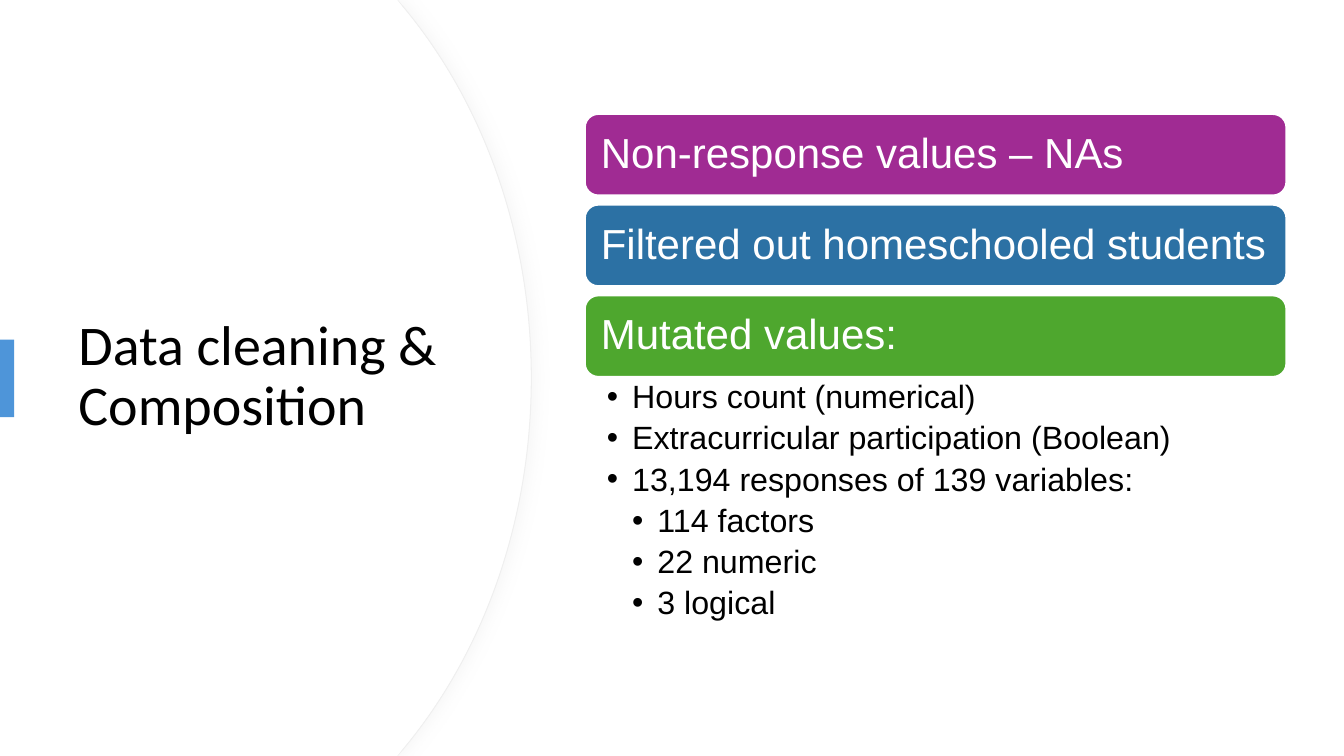
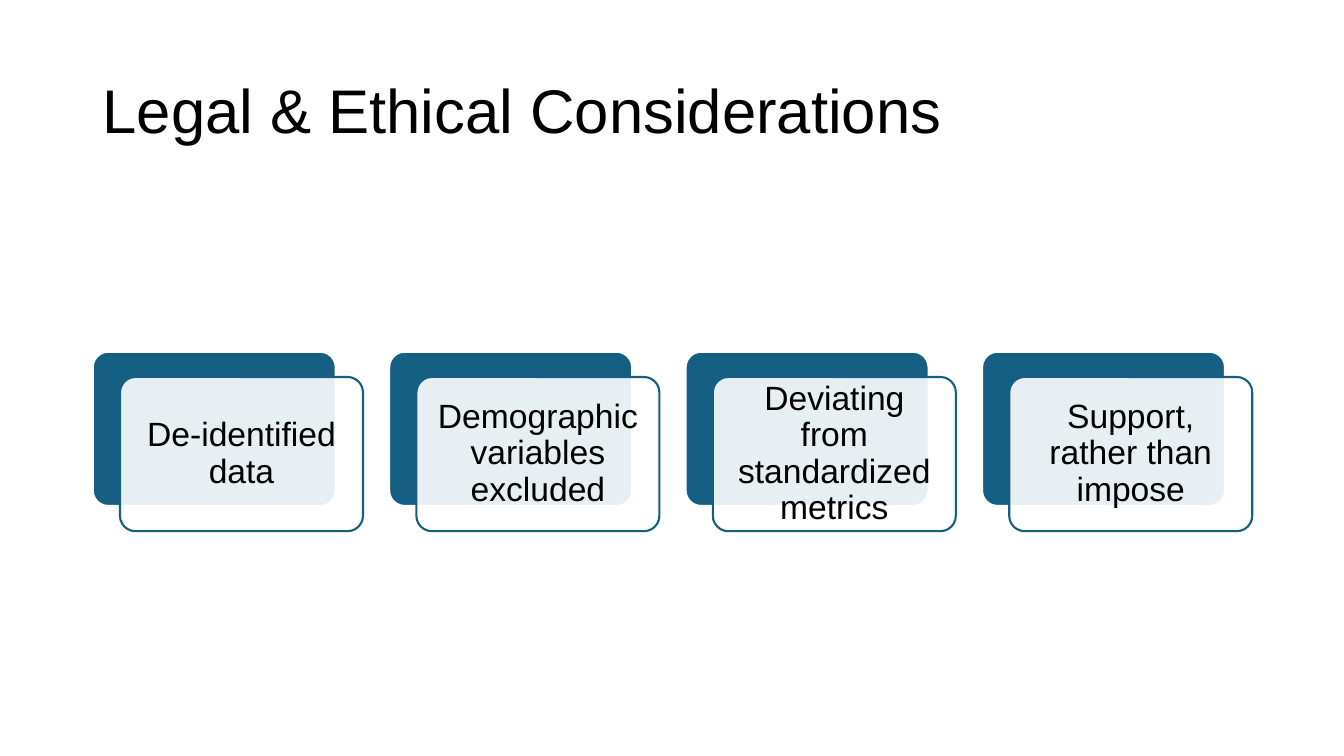
"""Build two slides on data cleaning and on legal and ethical considerations."""
from lxml import etree
from pptx import Presentation
from pptx.dml.color import RGBColor
from pptx.enum import shapes, text
from pptx.oxml import ns
from pptx.util import Inches, Pt

BLACK = RGBColor(0x00, 0x00, 0x00)
WHITE = RGBColor(0xFF, 0xFF, 0xFF)
PANEL_EDGE = RGBColor(0xEF, 0xEF, 0xEF)
PANEL_SHADOW = RGBColor(0xD9, 0xD9, 0xD9)
ACCENT = RGBColor(0x4E, 0x95, 0xD9)
PURPLE = RGBColor(0xA0, 0x2B, 0x93)
BLUE = RGBColor(0x2C, 0x71, 0xA4)
GREEN = RGBColor(0x4E, 0xA7, 0x2E)
TEAL = RGBColor(0x15, 0x60, 0x82)

BODY_FONT = "Arial"
LINE_SPACING = 0.9
SLIDE_HEIGHT = 7.5

STEPS = [
    ("Non-response values – NAs", PURPLE),
    ("Filtered out homeschooled students", BLUE),
    ("Mutated values:", GREEN),
]
DETAILS = [
    (1, "Hours count (numerical)"),
    (1, "Extracurricular participation (Boolean)"),
    (1, "13,194 responses of 139 variables:"),
    (2, "114 factors"),
    (2, "22 numeric"),
    (2, "3 logical"),
]
CONSIDERATIONS = [
    "De-identified data",
    "Demographic variables excluded",
    "Deviating from standardized metrics",
    "Support, rather than impose",
]


def add_element(parent, tag, **attributes):
    return etree.SubElement(parent, ns.qn(tag), attributes)


def style_paragraph(paragraph, size, color=BLACK, font=BODY_FONT):
    paragraph.line_spacing = LINE_SPACING
    paragraph.font.size = Pt(size)
    for run in paragraph.runs:
        run.font.name = font
        run.font.size = Pt(size)
        run.font.color.rgb = color


def set_insets(frame, left, top, right, bottom):
    frame.margin_left, frame.margin_top = Inches(left), Inches(top)
    frame.margin_right, frame.margin_bottom = Inches(right), Inches(bottom)


def add_title(slide, wording, box, size, font=BODY_FONT):
    title = slide.shapes.add_textbox(*map(Inches, box))
    frame = title.text_frame
    frame.word_wrap = True
    frame.vertical_anchor = text.MSO_ANCHOR.MIDDLE
    frame.text = wording
    style_paragraph(frame.paragraphs[0], size, font=font)


def add_block(slide, kind, box, fill, line=None, corner=None):
    block = slide.shapes.add_shape(kind, *map(Inches, box))
    block.shadow.inherit = False
    block.fill.solid()
    block.fill.fore_color.rgb = fill
    if line is None:
        block.line.fill.background()
    else:
        block.line.color.rgb = line
        block.line.width = Pt(1.5)
    if corner is not None:
        block.adjustments[0] = corner
    return block


def write_label(block, wording, size, color, align, inset):
    frame = block.text_frame
    frame.word_wrap = True
    frame.vertical_anchor = text.MSO_ANCHOR.MIDDLE
    set_insets(frame, inset, inset, inset, inset)
    frame.text = wording
    frame.paragraphs[0].alignment = align
    style_paragraph(frame.paragraphs[0], size, color)


def bend(outline, first):
    """Turn three straight segments of an outline into one cubic curve."""
    segments = outline.findall(ns.qn("a:lnTo"))[first:first + 3]
    curve = etree.Element(ns.qn("a:cubicBezTo"))
    segments[0].addprevious(curve)
    for segment in segments:
        curve.append(segment[0])
        outline.remove(segment)


def add_curved_panel(slide, reach):
    upper = [(3.94, 0), (reach - 1.26, 0.08), (reach - 0.48, 1.02), (reach, 2.32)]
    lower = [(x, SLIDE_HEIGHT - y) for x, y in reversed(upper)]
    corners = upper + [(reach, SLIDE_HEIGHT / 2)] + lower + [(0, SLIDE_HEIGHT)]
    builder = slide.shapes.build_freeform(0, 0)
    builder.add_line_segments([(Inches(x), Inches(y)) for x, y in corners], close=True)
    panel = builder.convert_to_shape()
    outline = next(panel.element.iter(ns.qn("a:path")))
    for _ in range(2):
        bend(outline, 2)
    panel.shadow.inherit = False
    panel.fill.solid()
    panel.fill.fore_color.rgb = WHITE
    panel.line.fill.background()
    return panel


def add_edge_and_shadow(panel):
    panel.line.color.rgb = PANEL_EDGE
    panel.line.width = Pt(0.75)
    effects = panel.element.spPr.find(ns.qn("a:effectLst"))
    shadow = add_element(effects, "a:outerShdw", blurRad=str(Pt(10)), dist=str(Pt(3)),
                         dir="0", algn="l", rotWithShape="0")
    color = add_element(shadow, "a:srgbClr", val=str(PANEL_SHADOW))
    add_element(color, "a:alpha", val="20000")


def add_bullets(slide, items, box):
    bullets = slide.shapes.add_textbox(*map(Inches, box))
    frame = bullets.text_frame
    frame.word_wrap = True
    set_insets(frame, 0.22, 0.05, 0.23, 0.04)
    frame.text = "\n".join(wording for _, wording in items)
    for paragraph, (level, _) in zip(frame.paragraphs, items):
        properties = paragraph._p.get_or_add_pPr()
        properties.set("marL", str(Inches(0.25 * level)))
        properties.set("indent", str(Inches(-0.25)))
        add_element(properties, "a:buFont", typeface=BODY_FONT)
        add_element(properties, "a:buChar", char="•")
        paragraph.level = level
        paragraph.space_after = Pt(4.6)
        style_paragraph(paragraph, 23)


def add_card(slide, wording, left):
    top, width, height = 3.49, 2.41, 1.53
    rounded = shapes.MSO_SHAPE.ROUNDED_RECTANGLE
    add_block(slide, rounded, (left, top, width, height), TEAL, WHITE, 0.1)
    front = add_block(slide, rounded, (left + 0.27, top + 0.25, width, height),
                      WHITE, TEAL, 0.1)
    fill_color = front.element.spPr.find(ns.qn("a:solidFill"))[0]
    add_element(fill_color, "a:alpha", val="90000")
    write_label(front, wording, 24, BLACK, text.PP_ALIGN.CENTER, 0.1)


def build_cleaning(slide):
    add_edge_and_shadow(add_curved_panel(slide, 5.27))
    add_curved_panel(slide, 5.26)
    add_title(slide, "Data cleaning & Composition", (0.68, 1.27, 3.94, 4.95), 40, "Calibri")
    add_block(slide, shapes.MSO_SHAPE.RECTANGLE, (0, 3.37, 0.14, 0.77), ACCENT)
    for index, (wording, color) in enumerate(STEPS):
        bar = add_block(slide, shapes.MSO_SHAPE.ROUNDED_RECTANGLE,
                        (5.8, 1.13 + 0.9 * index, 6.96, 0.81), color, WHITE)
        write_label(bar, wording, 30, WHITE, text.PP_ALIGN.LEFT, 0.12)
    add_bullets(slide, DETAILS, (5.8, 3.73, 6.96, 2.65))


def build_considerations(slide):
    add_title(slide, "Legal & Ethical Considerations", (0.92, 0.4, 11.5, 1.45), 44)
    for index, wording in enumerate(CONSIDERATIONS):
        add_card(slide, wording, 0.92 + 2.94 * index)


def main():
    deck = Presentation()
    deck.slide_width, deck.slide_height = Inches(13.33), Inches(SLIDE_HEIGHT)
    for build in (build_cleaning, build_considerations):
        build(deck.slides.add_slide(deck.slide_layouts[6]))
    deck.save("out.pptx")


if __name__ == "__main__":
    main()
